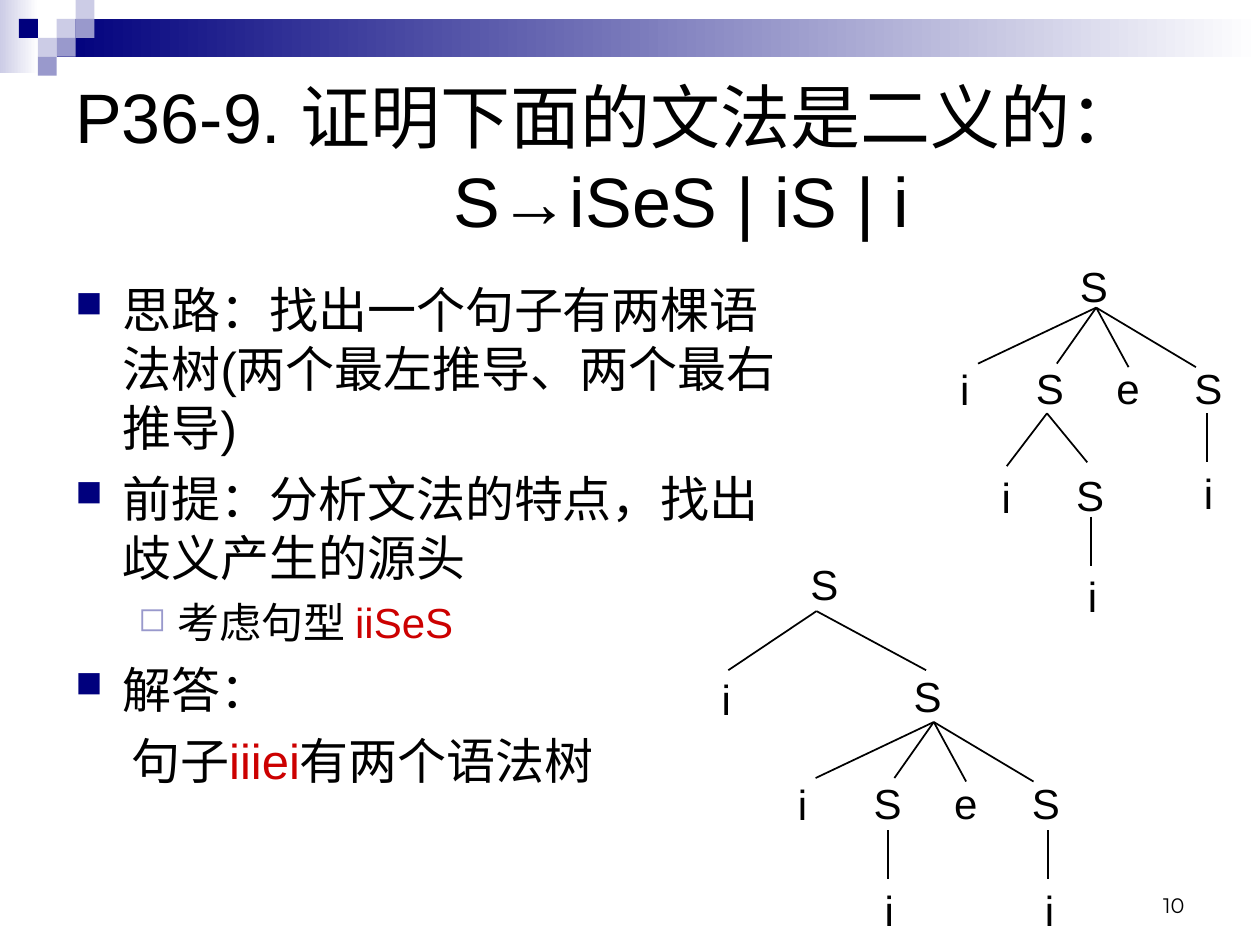
import pptx
import pptx.util
import pptx.dml.color
import pptx.enum.shapes
import pptx.enum.text
import pptx.oxml.ns
from lxml import etree

Pt = pptx.util.Pt
qn = pptx.oxml.ns.qn
ANCHOR = pptx.enum.text.MSO_ANCHOR
COLORS = {
    "black": "000000",
    "white": "FFFFFF",
    "navy": "00007D",
    "violet": "9999CC",
    "lavender": "CCCCE6",
    "red": "CC0000",
}
SQUARE = 10.8
SQUARES = [
    (3, 1, "lavender"), (4, 0, "lavender"), (4, 1, "violet"), (2, 2, "lavender"),
    (1, 1, "navy"), (3, 2, "violet"), (2, 3, "violet"),
]
NODE_WIDTHS = {"S": 30, "e": 27, "i": 19.5}
NODE_HEIGHT = 36

# Each limb: symbol, line end (dx, dy), label centre dx, label top dy.
FAN = [
    ("i", -67.5, 32, -75, 28.5),
    ("S", -22.5, 32, -26.5, 28),
    ("e", 18.5, 34, 18, 28),
    ("S", 57, 34, 64, 28),
]
UPPER_FORK = [("i", -23, 30.2, -23.3, 29.5), ("S", 23, 28, 24.5, 28.8)]
LOWER_FORK = [("i", -50.4, 33.8, -51.6, 32.4), ("S", 62.6, 33.8, 63.4, 30.2)]
STEM = [("i", 0, 28, 0.8, 27.4)]


def rgb(name):
    return pptx.dml.color.RGBColor.from_string(COLORS[name])


def add_band(slide, left, top, width, height, *fills):
    band = slide.shapes.add_shape(
        pptx.enum.shapes.MSO_SHAPE.RECTANGLE, Pt(left), Pt(top), Pt(width), Pt(height))
    band.shadow.inherit = False
    band.line.fill.background()
    if len(fills) == 1:
        band.fill.solid()
        band.fill.fore_color.rgb = rgb(fills[0])
        return
    band.fill.gradient()
    band.fill.gradient_angle = 180
    for stop, position, name in zip(band.fill.gradient_stops, (0, 1), fills):
        stop.position = position
        stop.color.rgb = rgb(name)


def add_text_area(slide, left, top, width, height, anchor=ANCHOR.TOP, wrap=True):
    area = slide.shapes.add_textbox(Pt(left), Pt(top), Pt(width), Pt(height))
    frame = area.text_frame
    frame.word_wrap = wrap
    frame.vertical_anchor = anchor
    return frame


def add_run(paragraph, words, size, color="black", font="Arial"):
    run = paragraph.add_run()
    run.text = words
    run.font.size = Pt(size)
    run.font.name = font
    run.font.color.rgb = rgb(color)


def set_indent(paragraph, margin, hanging=0):
    properties = paragraph._p.get_or_add_pPr()
    properties.set("marL", str(Pt(margin)))
    properties.set("indent", str(Pt(-hanging)))
    return properties


def add_bullet(properties, mark, color, percent):
    bullet_color = etree.SubElement(properties, qn("a:buClr"))
    etree.SubElement(bullet_color, qn("a:srgbClr"), val=COLORS[color])
    etree.SubElement(properties, qn("a:buSzPct"), val=str(percent * 1000))
    etree.SubElement(properties, qn("a:buChar"), char=mark)


def add_title(slide):
    frame = add_text_area(slide, 36, 36, 648, 108, ANCHOR.MIDDLE)
    title = frame.paragraphs[0]
    tabs = etree.SubElement(title._p.get_or_add_pPr(), qn("a:tabLst"))
    etree.SubElement(tabs, qn("a:tab"), pos=str(Pt(216)), algn="l")
    add_run(title, "P36-9. 证明下面的文法是二义的：", 40)
    title.add_line_break()
    add_run(title, "\tS→iSeS | iS | i", 40)


def add_argument(slide):
    main_point = (27, 27, 7, 28, ("■", "navy", 75))
    sub_point = (58.5, 22.5, 6, 24, ("◻", "violet", 80))
    conclusion = (32, 0, 7, 28, None)
    steps = [
        (main_point, [("思路：找出一个句子有两棵语法树(两个最左推导、两个最右推导)", "black")]),
        (main_point, [("前提：分析文法的特点，找出歧义产生的源头", "black")]),
        (sub_point, [("考虑句型 ", "black"), ("iiSeS", "red")]),
        (main_point, [("解答：", "black")]),
        (conclusion, [("句子", "black"), ("iiiei", "red"), ("有两个语法树", "black")]),
    ]
    frame = add_text_area(slide, 36, 156.2, 420.5, 306)
    for index, ((margin, hanging, gap, size, bullet), parts) in enumerate(steps):
        step = frame.add_paragraph() if index else frame.paragraphs[0]
        properties = set_indent(step, margin, hanging)
        if bullet:
            add_bullet(properties, *bullet)
        if index:
            step.space_before = Pt(gap)
        for words, color in parts:
            add_run(step, words, size, color)


def add_node(slide, symbol, center, top):
    width = NODE_WIDTHS[symbol]
    frame = add_text_area(slide, center - width / 2, top, width, NODE_HEIGHT, wrap=False)
    frame.auto_size = pptx.enum.text.MSO_AUTO_SIZE.SHAPE_TO_FIT_TEXT
    add_run(frame.paragraphs[0], symbol, 24)


def add_edge(slide, x1, y1, x2, y2):
    edge = slide.shapes.add_connector(
        pptx.enum.shapes.MSO_CONNECTOR.STRAIGHT, Pt(x1), Pt(y1), Pt(x2), Pt(y2))
    edge.line.color.rgb = rgb("black")
    edge.line.width = Pt(1)
    etree.SubElement(edge._element.spPr, qn("a:effectLst"))


def add_branches(slide, x, y, limbs):
    for symbol, end_dx, end_dy, label_dx, label_dy in limbs:
        add_edge(slide, x, y, x + end_dx, y + end_dy)
        add_node(slide, symbol, x + label_dx, y + label_dy)


def add_syntax_trees(slide):
    add_node(slide, "S", 625, 145.4)
    add_branches(slide, 626.4, 175.8, FAN)
    add_branches(slide, 598.3, 236.2, UPPER_FORK)
    add_node(slide, "S", 471, 315.4)
    add_branches(slide, 466.6, 349.2, LOWER_FORK)
    add_branches(slide, 533.6, 412.6, FAN)
    for x, y in [(623.6, 295.2), (689.8, 236.2), (507.4, 474.5), (599, 474.5)]:
        add_branches(slide, x, y, STEM)


def add_page_number(slide):
    frame = add_text_area(slide, 516.2, 491.8, 167.8, 36, ANCHOR.BOTTOM)
    number = frame.paragraphs[0]
    number.alignment = pptx.enum.text.PP_ALIGN.RIGHT
    add_run(number, "10", 12, font="Montserrat")


def main():
    deck = pptx.Presentation()
    deck.slide_width, deck.slide_height = Pt(720), Pt(540)
    slide = deck.slides.add_slide(deck.slide_layouts[6])
    add_band(slide, 0, 0, 22, 42, "white", "lavender")
    add_band(slide, 32.4, SQUARE, 687.6, 21.6, "white", "navy")
    for column, row, color in SQUARES:
        add_band(slide, column * SQUARE, row * SQUARE, SQUARE, SQUARE, color)
    add_title(slide)
    add_argument(slide)
    add_syntax_trees(slide)
    add_page_number(slide)
    deck.save("out.pptx")


if __name__ == "__main__":
    main()
